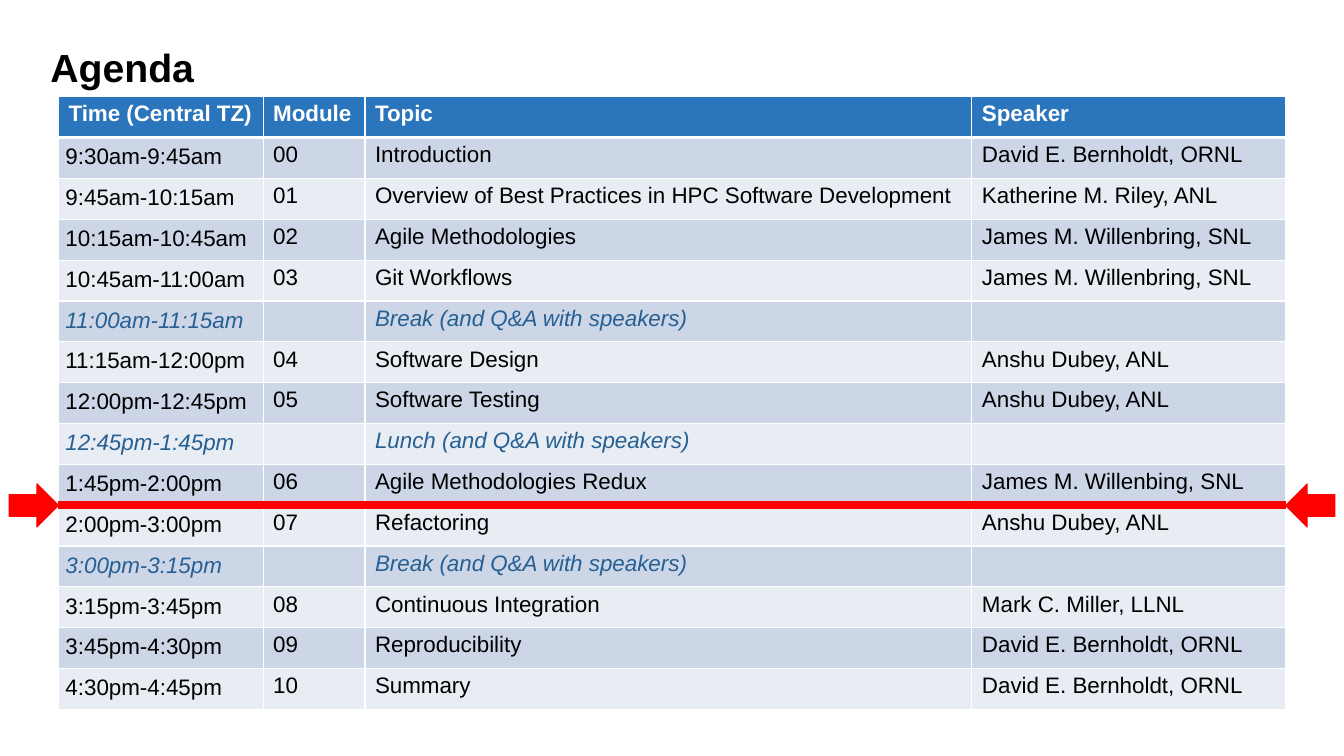
from lxml.etree import SubElement
from pptx import Presentation
from pptx.dml.color import RGBColor
from pptx.enum.shapes import MSO_CONNECTOR, MSO_SHAPE
from pptx.enum.text import MSO_ANCHOR, PP_ALIGN
from pptx.oxml.ns import qn
from pptx.util import Pt

PX = 9144
BLACK = RGBColor(0x00, 0x00, 0x00)
WHITE = RGBColor(0xFF, 0xFF, 0xFF)
RED = RGBColor(0xFF, 0x00, 0x00)
HEADER_BLUE = RGBColor(0x2A, 0x75, 0xBB)
PAUSE_BLUE = RGBColor(0x26, 0x60, 0x93)
BAND_DARK = RGBColor(0xCD, 0xD6, 0xE7)
BAND_LIGHT = RGBColor(0xE8, 0xEC, 0xF3)

BREAK = "Break (and Q&A with speakers)"
LUNCH = "Lunch (and Q&A with speakers)"
AGENDA = [
    ("Time (Central TZ)", "Module", "Topic", "Speaker"),
    ("9:30am-9:45am", "00", "Introduction", "David E. Bernholdt, ORNL"),
    ("9:45am-10:15am", "01", "Overview of Best Practices in HPC Software Development",
     "Katherine M. Riley, ANL"),
    ("10:15am-10:45am", "02", "Agile Methodologies", "James M. Willenbring, SNL"),
    ("10:45am-11:00am", "03", "Git Workflows", "James M. Willenbring, SNL"),
    ("11:00am-11:15am", "", BREAK, ""),
    ("11:15am-12:00pm", "04", "Software Design", "Anshu Dubey, ANL"),
    ("12:00pm-12:45pm", "05", "Software Testing", "Anshu Dubey, ANL"),
    ("12:45pm-1:45pm", "", LUNCH, ""),
    ("1:45pm-2:00pm", "06", "Agile Methodologies Redux", "James M. Willenbing, SNL"),
    ("2:00pm-3:00pm", "07", "Refactoring", "Anshu Dubey, ANL"),
    ("3:00pm-3:15pm", "", BREAK, ""),
    ("3:15pm-3:45pm", "08", "Continuous Integration", "Mark C. Miller, LLNL"),
    ("3:45pm-4:30pm", "09", "Reproducibility", "David E. Bernholdt, ORNL"),
    ("4:30pm-4:45pm", "10", "Summary", "David E. Bernholdt, ORNL"),
]


def put_text(tf, text, size=16, color=BLACK, bold=False, italic=False,
             font="Arial", spacing=None):
    p = tf.paragraphs[0]
    p.alignment = PP_ALIGN.LEFT
    if spacing:
        p.line_spacing = spacing
    r = p.add_run()
    r.text = text
    r.font.name = font
    r.font.size = Pt(size)
    r.font.color.rgb = color
    r.font.bold = bold
    r.font.italic = italic


class AgendaSlide:
    def __init__(self, prs):
        self.s = prs.slides.add_slide(prs.slide_layouts[5])
        self.marker = None

    def title(self, text, x, y, w, h):
        sp = self.s.shapes.title
        sp.left, sp.top, sp.width, sp.height = (v * PX for v in (x, y, w, h))
        tf = sp.text_frame
        tf.word_wrap = True
        tf.vertical_anchor = MSO_ANCHOR.TOP
        put_text(tf, text, size=28, bold=True, spacing=0.85)

    def borders(self, cell, top, bottom):
        tc_pr = cell._tc.get_or_add_tcPr()
        for side, width in (("L", 1), ("R", 1), ("T", top), ("B", bottom)):
            ln = SubElement(tc_pr, qn(f"a:ln{side}"), w=str(Pt(width)))
            fill = SubElement(ln, qn("a:solidFill"))
            SubElement(fill, qn("a:srgbClr"), val=str(WHITE))

    def table(self, rows, x, y, widths, h):
        frame = self.s.shapes.add_table(len(rows), len(widths), x * PX, y * PX,
                                        sum(widths) * PX, h * PX)
        table = frame.table
        for col, width in zip(table.columns, widths):
            col.width = width * PX
        for i, row in enumerate(rows):
            table.rows[i].height = h * PX // len(rows)
            header, pause = i == 0, not row[1]
            band = BAND_DARK if i % 2 else BAND_LIGHT
            color = WHITE if header else PAUSE_BLUE if pause else BLACK
            for j, text in enumerate(row):
                cell = table.cell(i, j)
                self.borders(cell, 3 if i == 1 else 1, 3 if header else 1)
                cell.fill.solid()
                cell.fill.fore_color.rgb = HEADER_BLUE if header else band
                if j == 0 and not header:
                    cell.margin_left = cell.margin_right = 7 * PX
                    cell.margin_top = cell.margin_bottom = 7 * PX
                if text:
                    put_text(cell.text_frame, text, color=color, bold=header,
                             italic=pause)

    def group(self):
        self.marker = self.s.shapes.add_group_shape()

    def line(self, x1, x2, y, width):
        cx = self.marker.shapes.add_connector(
            MSO_CONNECTOR.STRAIGHT, x1 * PX, y * PX, x2 * PX, y * PX)
        cx.line.color.rgb = RED
        cx.line.width = Pt(width)
        SubElement(cx._element.spPr, qn("a:effectLst"))

    def arrow(self, x, y, w, h, rotation=0):
        sp = self.marker.shapes.add_shape(MSO_SHAPE.RIGHT_ARROW, x * PX, y * PX,
                                          w * PX, h * PX)
        sp.rotation = rotation
        sp.shadow.inherit = False
        sp.fill.solid()
        sp.fill.fore_color.rgb = RED
        sp.line.color.rgb = RED
        sp.line.width = Pt(0.75)


def main():
    prs = Presentation()
    prs.slide_width, prs.slide_height = 1333 * PX, 750 * PX
    slide = AgendaSlide(prs)
    slide.title("Agenda", 40, 45, 1244, 100)
    left, widths = 58, (203, 101, 602, 311)
    right = left + sum(widths)
    slide.table(AGENDA, left, 96, widths, 608)
    slide.group()
    slide.line(left, right, 501, 6)
    slide.arrow(left - 49, 480, 49, 43)
    slide.arrow(right, 480, 49, 43, rotation=180)
    prs.save("out.pptx")


if __name__ == "__main__":
    main()
